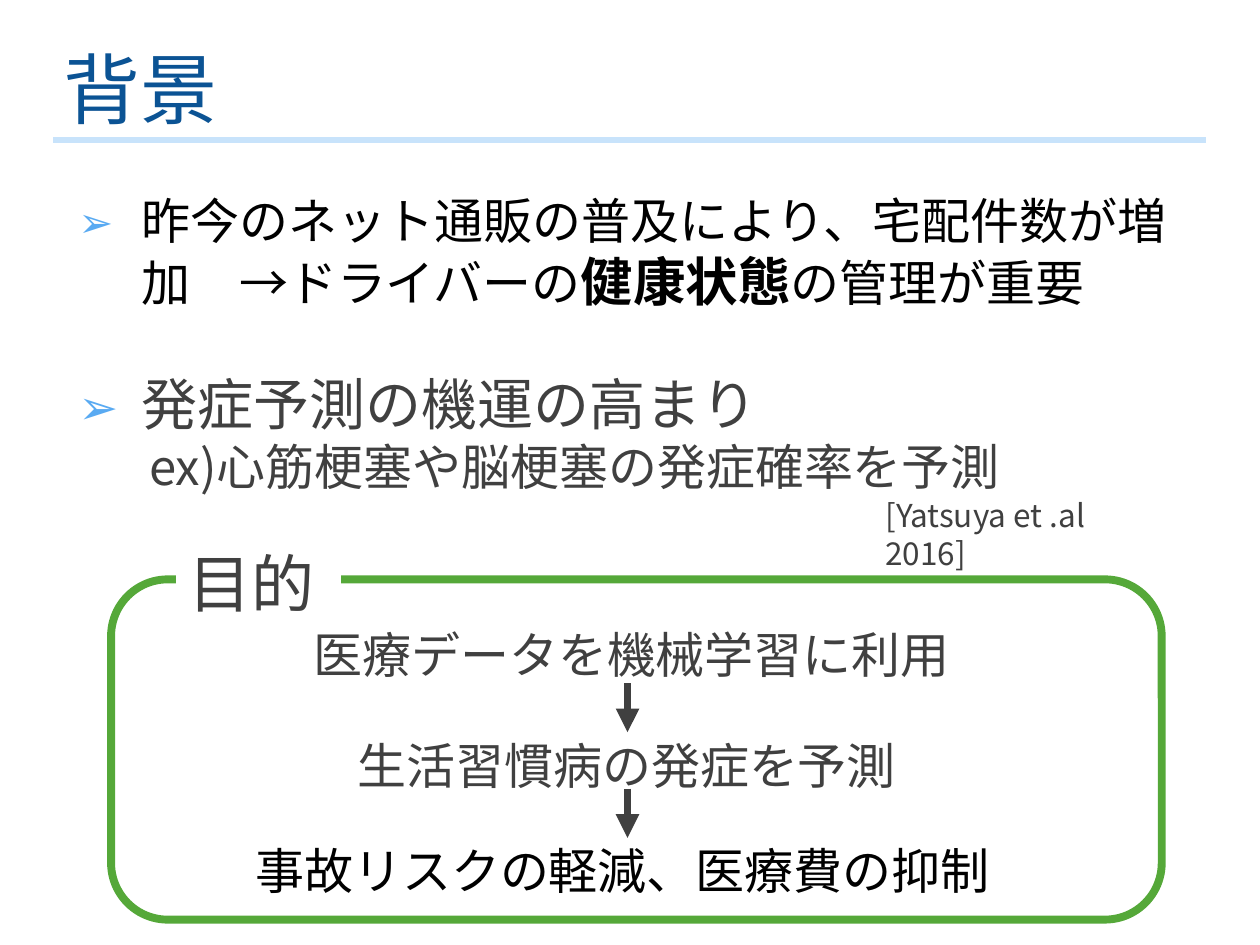
"""Build the background and purpose slide of a health prediction talk."""
from lxml import etree
from pptx import Presentation
from pptx.dml.color import RGBColor
from pptx.enum.shapes import MSO_CONNECTOR, MSO_SHAPE
from pptx.oxml.ns import qn
from pptx.util import Cm, Pt

STRAIGHT = MSO_CONNECTOR.STRAIGHT
RECTANGLE = MSO_SHAPE.RECTANGLE
ROUNDED = MSO_SHAPE.ROUNDED_RECTANGLE
FONT = "Noto Sans CJK JP"
BLACK, GRAY, NAVY = "000000", "404040", "0B5394"
WHITE, GREEN, PALE_BLUE = "FFFFFF", "55A839", "C8E3FB"


def color(value):
    return RGBColor.from_string(value)


def add_text(left, top, width, height, paragraphs, wrap=True, right_inset=0.25):
    box = slide.shapes.add_textbox(Cm(left), Cm(top), Cm(width), Cm(height))
    frame = box.text_frame
    frame.word_wrap = wrap
    frame.margin_right = Cm(right_inset)
    for index, runs in enumerate(paragraphs):
        paragraph = frame.add_paragraph() if index else frame.paragraphs[0]
        for text, size, shade, bold in runs:
            run = paragraph.add_run()
            run.text = text
            run.font.size = Pt(size)
            run.font.bold = bold
            run.font.color.rgb = color(shade)
            run.font.name = FONT
            east_asian = etree.SubElement(run.font._element, qn("a:ea"))
            east_asian.set("typeface", FONT)
    return frame.paragraphs


prs = Presentation()
prs.slide_width, prs.slide_height = Cm(25.4), Cm(19.05)
slide = prs.slides.add_slide(prs.slide_layouts[6])

add_text(1.04, 0.71, 13.13, 2.13, [[("背景", 44, NAVY, False)]])

trend, prediction, example = add_text(1.33, 3.71, 23.95, 7.7, [
    [("昨今のネット通販の普及により、宅配件数が増加　→ドライバーの", 28, BLACK, False),
     ("健康状態", 30, BLACK, True),
     ("の管理が重要", 28, BLACK, False)],
    [("発症予測の機運の高まり", 32, GRAY, False)],
    [("ex)心筋梗塞や脳梗塞の発症確率を予測", 28, GRAY, False)],
], right_inset=1.2)
prediction.space_before = Pt(33)
for point in (trend, prediction):
    layout = point._p.get_or_add_pPr()
    layout.set("marL", str(Cm(1.27)))
    layout.set("indent", str(Cm(-1.27)))
    bullet_color = etree.SubElement(layout, qn("a:buClr"))
    etree.SubElement(bullet_color, qn("a:srgbClr")).set("val", "59AAF2")
    etree.SubElement(layout, qn("a:buSzPct")).set("val", "85000")
    etree.SubElement(layout, qn("a:buFont")).set("typeface", FONT)
    etree.SubElement(layout, qn("a:buChar")).set("char", "➢")
example._p.get_or_add_pPr().set("marL", str(Cm(1.43)))

add_text(17.6, 9.88, 7.09, 1.02, [[("[Yatsuya et .al　2016]", 18, GRAY, False)]],
         right_inset=2)

purpose_frame = slide.shapes.add_shape(ROUNDED, Cm(2.24), Cm(11.68), Cm(21.18), Cm(6.86))
purpose_frame.fill.background()
heading_gap = slide.shapes.add_shape(RECTANGLE, Cm(3.56), Cm(11.05), Cm(3.3), Cm(2.13))
heading_gap.fill.solid()
heading_gap.fill.fore_color.rgb = color(WHITE)
for outline, shade, weight in ((purpose_frame, GREEN, 4.5), (heading_gap, WHITE, 1)):
    outline.shadow.inherit = False
    outline.line.color.rgb = color(shade)
    outline.line.width = Pt(weight)

add_text(3.56, 10.85, 3.07, 1.8, [[("目的", 36, GRAY, False)]], wrap=False)

for left, top, width, step, shade in (
    (6.07, 12.47, 13.49, "医療データを機械学習に利用", GRAY),
    (6.96, 14.71, 11.48, "生活習慣病の発症を予測", GRAY),
    (4.9, 16.81, 15.47, "事故リスクの軽減、医療費の抑制", BLACK),
):
    add_text(left, top, width, 1.45, [[(step, 28, shade, False)]], wrap=False)

for start_x, start_y, end_x, end_y, shade, weight, pointed in (
    (1.07, 2.82, 24.31, 2.82, PALE_BLUE, 3.25, False),
    (12.65, 13.77, 12.65, 14.76, GRAY, 4.5, True),
    (12.65, 15.9, 12.65, 16.89, GRAY, 4.5, True),
):
    connector = slide.shapes.add_connector(
        STRAIGHT, Cm(start_x), Cm(start_y), Cm(end_x), Cm(end_y))
    connector.line.color.rgb = color(shade)
    connector.line.width = Pt(weight)
    if pointed:
        etree.SubElement(connector.line._get_or_add_ln(), qn("a:tailEnd")).set("type", "triangle")
    etree.SubElement(connector._element.spPr, qn("a:effectLst"))

prs.save("out.pptx")
